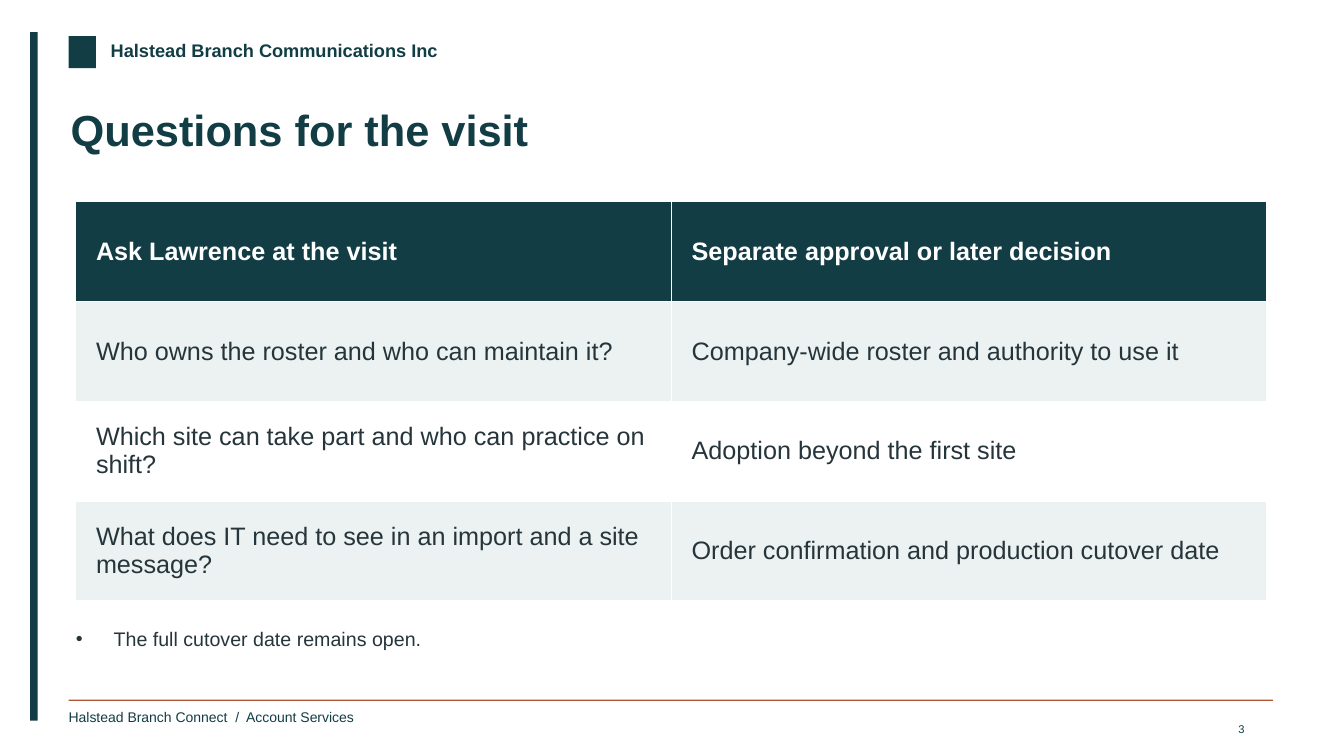
from dataclasses import dataclass

from lxml import etree
from pptx import Presentation
from pptx import util as u
from pptx.dml.color import RGBColor
from pptx.enum import shapes, text
from pptx.oxml import ns


@dataclass(frozen=True)
class Theme:
    font: str = "Arial"
    dark: str = "133D45"
    rust: str = "AF5636"
    ink: str = "26353B"
    pale: str = "EBF2F1"
    white: str = "FFFFFF"
    title: int = 31
    cell: int = 18
    note: int = 14
    name: int = 13
    foot: int = 10
    page: int = 8


THEME = Theme()
ROWS = [
    ("Ask Lawrence at the visit", "Separate approval or later decision"),
    ("Who owns the roster and who can maintain it?",
     "Company-wide roster and authority to use it"),
    ("Which site can take part and who can practice on shift?",
     "Adoption beyond the first site"),
    ("What does IT need to see in an import and a site message?",
     "Order confirmation and production cutover date"),
]


def box(*sides):
    return [u.Cm(side) for side in sides]


def paint(fill, color):
    fill.solid()
    fill.fore_color.rgb = RGBColor.from_string(color)


def write(frame, words, size, color=THEME.dark, bold=False,
          align=text.PP_ALIGN.LEFT, pad=(0, 0, 0, 0), wrap=True,
          anchor=text.MSO_ANCHOR.TOP):
    """Put one formatted paragraph in a text frame; pad is left, top, right, bottom in cm."""
    frame.text = words
    frame.word_wrap = wrap
    frame.auto_size = text.MSO_AUTO_SIZE.NONE
    frame.vertical_anchor = anchor
    (frame.margin_left, frame.margin_top,
     frame.margin_right, frame.margin_bottom) = box(*pad)
    para = frame.paragraphs[0]
    para.alignment = align
    para.space_before = u.Pt(0)
    font = para.runs[0].font
    font.name, font.size, font.bold = THEME.font, u.Pt(size), bold
    font.color.rgb = RGBColor.from_string(color)


def place(holder, sides):
    holder.left, holder.top, holder.width, holder.height = box(*sides)
    return holder.text_frame


def bar(slide, sides, color):
    shape = slide.shapes.add_shape(shapes.MSO_SHAPE.RECTANGLE, *box(*sides))
    shape.shadow.inherit = False
    shape.line.fill.background()
    paint(shape.fill, color)


def label(slide, sides, words, size, **form):
    frame = slide.shapes.add_textbox(*box(*sides)).text_frame
    write(frame, words, size, wrap=False, **form)


def unlist(para):
    """Take the bullet and hanging indent off a paragraph."""
    props = para._p.get_or_add_pPr()
    props.set("marL", "0")
    props.set("indent", "0")
    etree.SubElement(props, ns.qn("a:buNone"))


def grid(slide, sides, rows):
    table = slide.shapes.add_table(len(rows), len(rows[0]), *box(*sides)).table
    for r, row in enumerate(rows):
        head = r == 0
        fill = THEME.dark if head else THEME.pale if r % 2 else THEME.white
        for c, words in enumerate(row):
            cell = table.cell(r, c)
            paint(cell.fill, fill)
            write(cell.text_frame, words, THEME.cell, bold=head,
                  color=THEME.white if head else THEME.ink)
            cell.vertical_anchor = text.MSO_ANCHOR.MIDDLE
            (cell.margin_left, cell.margin_top,
             cell.margin_right, cell.margin_bottom) = box(0.51, 0.13, 0.38, 0.13)


def brand(slide):
    bar(slide, (0.76, 0.81, 0.19, 17.35), THEME.dark)
    bar(slide, (1.73, 0.91, 0.69, 0.81), THEME.dark)
    label(slide, (2.79, 0.99, 9.02, 0.69),
          "Halstead Branch Communications Inc", THEME.name, bold=True)
    bar(slide, (1.73, 17.63, 30.35, 0.03), THEME.rust)
    label(slide, (1.73, 17.86, 6.6, 0.58),
          "Halstead Branch Connect  /  Account Services", THEME.foot)


def main():
    deck = Presentation()
    deck.slide_width, deck.slide_height = box(33.87, 19.05)
    slide = deck.slides.add_slide(deck.slide_layouts[1])
    brand(slide)
    head = place(slide.shapes.title, (1.78, 2.59, 30.23, 2.18))
    write(head, "Questions for the visit", THEME.title, bold=True)
    note = place(slide.placeholders[1], (1.91, 15.8, 30.02, 1.12))
    unlist(note.paragraphs[0])
    write(note, "The full cutover date remains open.", THEME.note,
          color=THEME.ink)
    grid(slide, (1.91, 5.08, 30.02, 10.06), ROWS)
    label(slide, (30.48, 18.08, 1.14, 0.51), "3", THEME.page,
          align=text.PP_ALIGN.RIGHT, pad=(0.25, 0.13, 0.25, 0.13))
    deck.save("out.pptx")


if __name__ == "__main__":
    main()
